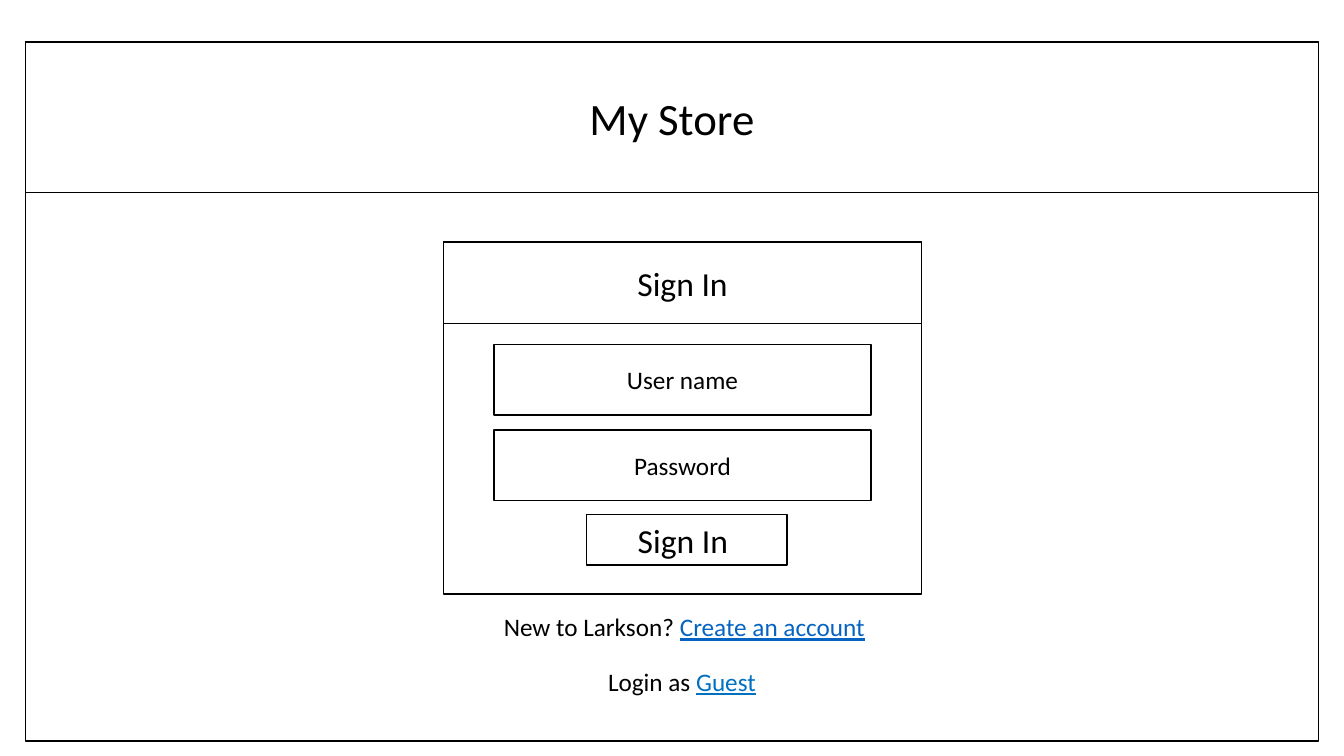
"""Build the sign-in page wireframe of an online store."""
from dataclasses import dataclass

from pptx import Presentation
from pptx import util as u
from pptx.dml.color import RGBColor
from pptx.enum import shapes, text


@dataclass(frozen=True)
class Theme:
    font: str = "Calibri"
    ink: str = "000000"
    paper: str = "FFFFFF"
    link: str = "0563C1"
    guest_link: str = "0070C0"
    title: int = 32
    heading: int = 24
    label: int = 18
    outline: int = 1


@dataclass(frozen=True)
class Area:
    column: float
    row: float
    columns: float
    rows: float


@dataclass(frozen=True)
class Panel:
    area: Area
    label: str = ""
    size: int = 18


@dataclass(frozen=True)
class Prompt:
    area: Area
    lead: str
    link: str
    color: str
    tail: str = ""


THEME = Theme()
WIDTH, HEIGHT = u.Inches(13.33), u.Inches(7.5)
COLUMNS, ROWS = 160, 90
FRAME = Area(3, 5, 154, 83.2)
BANNER = Area(FRAME.column, FRAME.row, FRAME.columns, 17.9)
CARD = Area(52.8, 28.8, 56.9, 41.9)
INSET = 6
FIELD_TOP, FIELD_PITCH = 41, 10.2

PANELS = [
    Panel(CARD),
    Panel(Area(CARD.column, CARD.row, CARD.columns, 9.75), "Sign In", THEME.heading),
    *(
        Panel(
            Area(CARD.column + INSET, FIELD_TOP + index * FIELD_PITCH,
                 CARD.columns - 2 * INSET, 8.4),
            label,
            THEME.label,
        )
        for index, label in enumerate(["User name", "Password"])
    ),
    Panel(Area(69.8, 61.25, 23.9, 6), "Sign In ", THEME.heading),
]

PROMPTS = [
    Prompt(Area(CARD.column + INSET, 72.2, 46.8, 4.8),
           "New to Larkson? ", "Create an account", THEME.link, " "),
    Prompt(Area(71.2, 78.7, 21.1, 4.8), "Login as ", "Guest", THEME.guest_link),
]


def bounds(area: Area) -> tuple[int, int, int, int]:
    """Turn grid columns and rows into left, top, width and height."""
    across, down = WIDTH / COLUMNS, HEIGHT / ROWS
    return (round(area.column * across), round(area.row * down),
            round(area.columns * across), round(area.rows * down))


def write(para, words: str, *, size: int = THEME.label,
          color: str = THEME.ink, underline: bool = False) -> None:
    """Add one formatted span to a paragraph."""
    span = para.add_run()
    span.text = words
    span.font.name = THEME.font
    span.font.size = u.Pt(size)
    span.font.color.rgb = RGBColor.from_string(color)
    span.font.underline = underline


def outline(box) -> None:
    """Give a box the plain wireframe fill and line."""
    box.fill.solid()
    box.fill.fore_color.rgb = RGBColor.from_string(THEME.paper)
    box.line.color.rgb = RGBColor.from_string(THEME.ink)
    box.line.width = u.Pt(THEME.outline)


def center_label(box, label: str, size: int) -> None:
    """Write a label in the middle of a box."""
    frame = box.text_frame
    frame.word_wrap = True
    frame.auto_size = text.MSO_AUTO_SIZE.NONE
    frame.vertical_anchor = text.MSO_ANCHOR.MIDDLE
    para = frame.paragraphs[0]
    para.alignment = text.PP_ALIGN.CENTER
    write(para, label, size=size)


def draw_panel(page, panel: Panel):
    """Draw an outlined rectangle with its label, if it has one."""
    box = page.shapes.add_shape(shapes.MSO_SHAPE.RECTANGLE, *bounds(panel.area))
    box.shadow.inherit = False
    outline(box)
    if panel.label:
        center_label(box, panel.label, panel.size)
    return box


def draw_banner(page) -> None:
    """Place the store name in the title placeholder."""
    banner = page.shapes.title
    banner.left, banner.top, banner.width, banner.height = bounds(BANNER)
    outline(banner)
    center_label(banner, "My Store", THEME.title)


def draw_prompt(page, prompt: Prompt) -> None:
    """Draw a line of text that ends in an underlined link."""
    frame = page.shapes.add_textbox(*bounds(prompt.area)).text_frame
    frame.word_wrap = True
    frame.auto_size = text.MSO_AUTO_SIZE.SHAPE_TO_FIT_TEXT
    para = frame.paragraphs[0]
    write(para, prompt.lead)
    write(para, prompt.link, color=prompt.color, underline=True)
    if prompt.tail:
        write(para, prompt.tail)


def main() -> None:
    """Build and save the deck."""
    deck = Presentation()
    deck.slide_width, deck.slide_height = WIDTH, HEIGHT
    page = deck.slides.add_slide(deck.slide_layouts.get_by_name("Title Only"))
    backdrop = draw_panel(page, Panel(FRAME))
    page.shapes.title.element.addprevious(backdrop.element)
    draw_banner(page)
    for panel in PANELS:
        draw_panel(page, panel)
    for prompt in PROMPTS:
        draw_prompt(page, prompt)
    deck.save("out.pptx")


if __name__ == "__main__":
    main()
